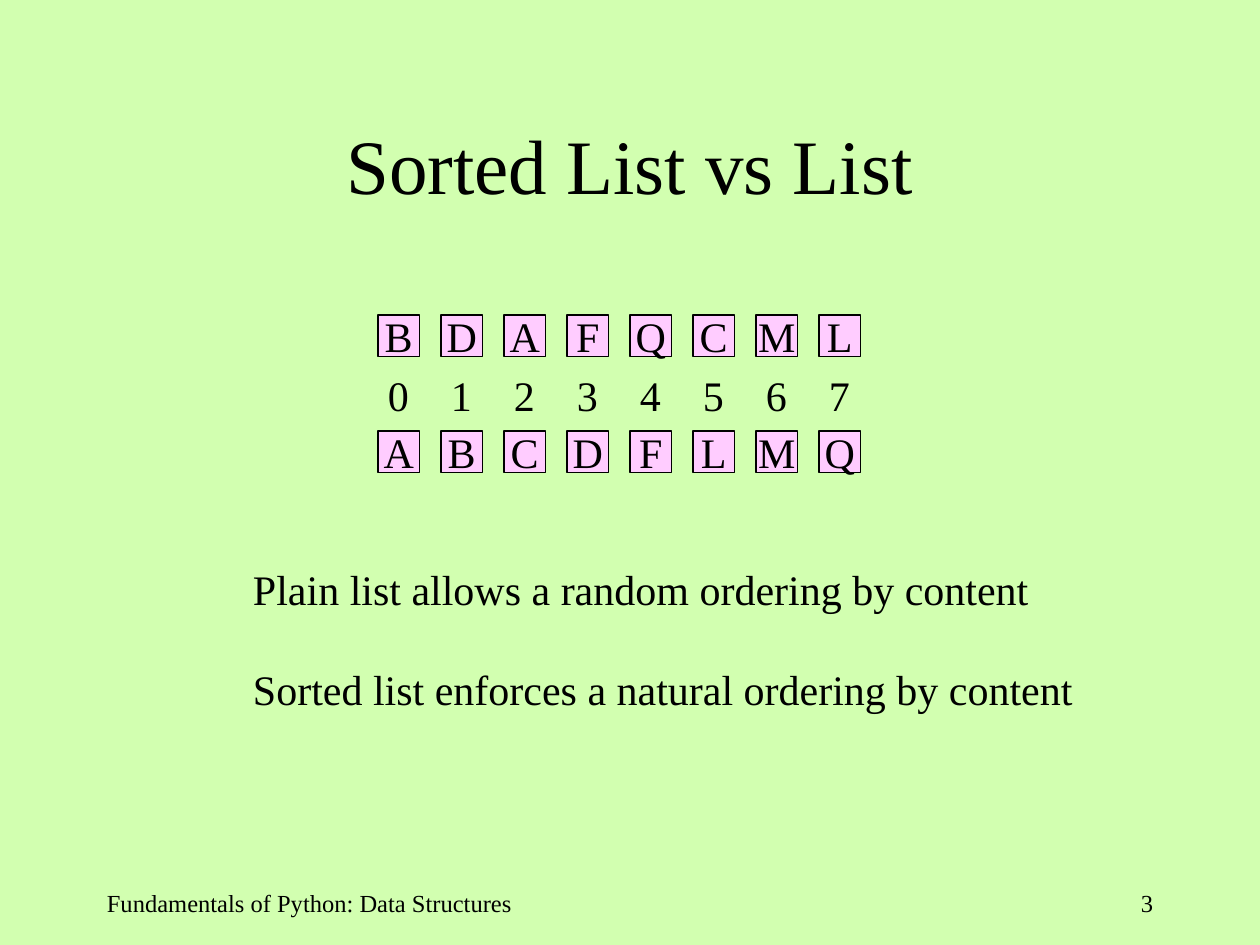
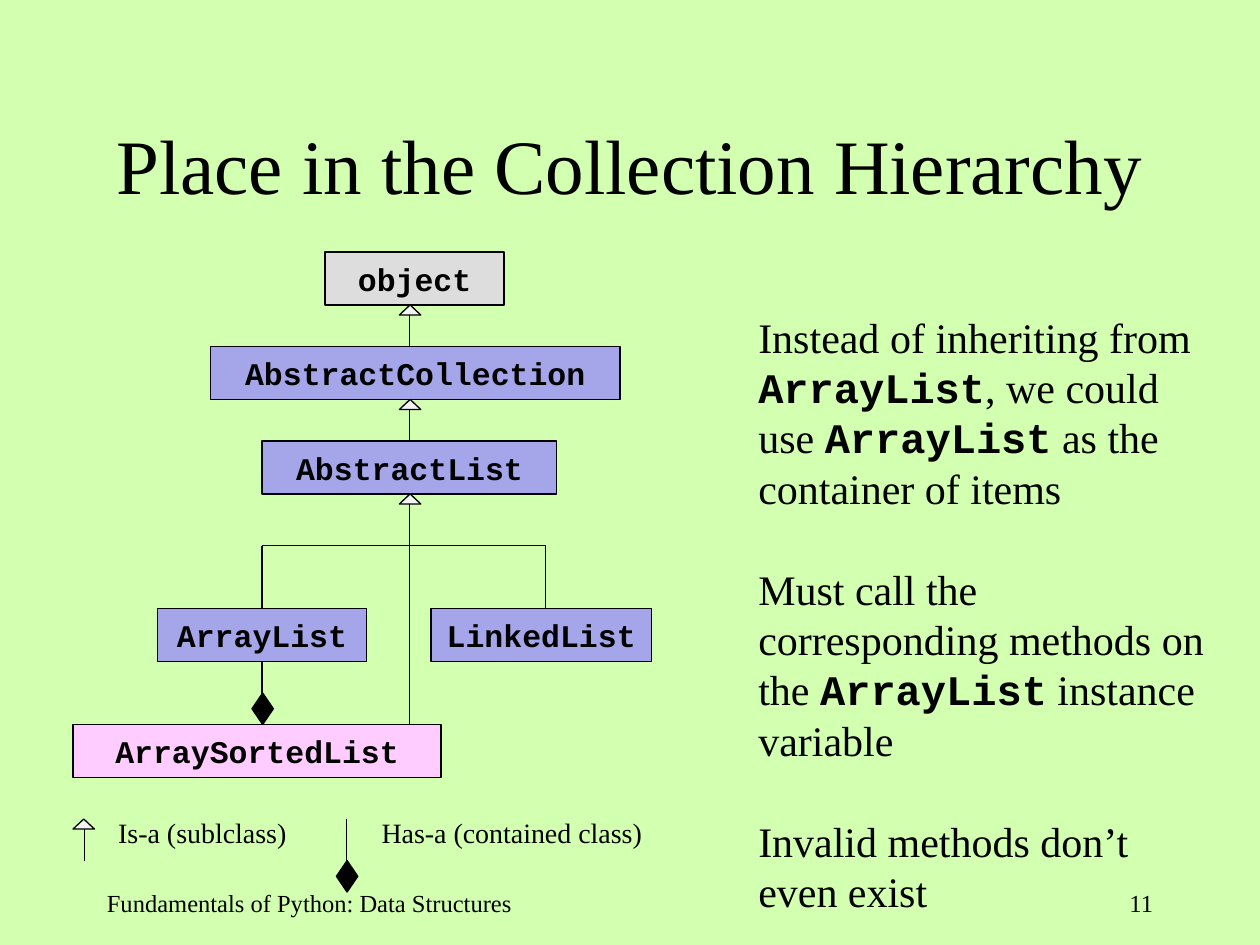
from dataclasses import dataclass
from typing import Optional

from lxml import etree
from pptx import Presentation
from pptx import util as u
from pptx.dml.color import RGBColor
from pptx.enum import shapes, text
from pptx.oxml import ns

GREEN = RGBColor(0xD2, 0xFF, 0xB0)
PINK = RGBColor(0xFF, 0xCC, 0xFF)
LILAC = RGBColor(0xA5, 0xA5, 0xE9)
GREY = RGBColor(0xDD, 0xDD, 0xDD)
PALE = RGBColor(0xF4, 0xF4, 0xF4)
BLACK = RGBColor(0, 0, 0)

SERIF = "Times New Roman"
MONO = "Courier New"
LEADING = 1.2
BODY_SIZE = 24
LINE_WIDTH = u.Pt(0.75)
CLASS_HEIGHT = 0.42
CELL_SIZE, CELL_PITCH, CELLS_LEFT = 0.33, 0.5, 3
MARKER_WIDTH = 0.17

ALIGN = text.PP_ALIGN
SHAPE = shapes.MSO_SHAPE


@dataclass
class ClassBox:
    name: str
    left: float
    top: float
    width: float
    fill: RGBColor


@dataclass
class Link:
    """A straight line; each end may be joined to a named class box's side."""
    start: tuple[float, float]
    end: tuple[float, float]
    start_joint: Optional[tuple[str, int]] = None
    end_joint: Optional[tuple[str, int]] = None


@dataclass
class Note:
    content: str
    left: float
    top: float
    width: float
    height: float
    size: int = BODY_SIZE
    align: ALIGN = ALIGN.LEFT


CLASSES = [
    ClassBox("object", 2.58, 2, 1.42, GREY),
    ClassBox("AbstractCollection", 1.67, 2.75, 3.25, LILAC),
    ClassBox("AbstractList", 2.08, 3.5, 2.34, LILAC),
    ClassBox("ArrayList", 1.25, 4.83, 1.66, LILAC),
    ClassBox("LinkedList", 3.42, 4.83, 1.75, LILAC),
    ClassBox("ArraySortedList", 0.58, 5.75, 2.92, PINK),
]
LINKS = [
    Link((3.25, 2.42), (3.25, 2.75)),
    Link((3.25, 3.17), (3.25, 3.5), end_joint=("AbstractList", 0)),
    Link((3.25, 3.92), (3.25, 4.33), start_joint=("AbstractList", 2)),
    Link((3.25, 4.33), (3.25, 5.75)),
    Link((2.08, 4.33), (4.33, 4.33)),
    Link((2.08, 4.33), (2.08, 4.83), end_joint=("ArrayList", 0)),
    Link((4.33, 4.33), (4.33, 4.83)),
    Link((2.08, 5.25), (2.08, 5.75), start_joint=("ArrayList", 2)),
    Link((0.67, 6.5), (0.67, 6.83)),
    Link((2.75, 6.5), (2.75, 7)),
]
IS_A_TIPS = [(3.17, 2.42), (3.17, 3.17), (3.17, 3.92), (0.58, 6.5)]
HAS_A_TIPS = [(2, 5.5), (2.67, 6.83)]


def write_paragraph(para, content: str, size: float, font: str = SERIF,
                    bold: bool = False, align=ALIGN.LEFT) -> None:
    """Write one paragraph; parts between backticks are set as code."""
    para.alignment = align
    para.line_spacing = u.Pt(size * LEADING)
    for index, part in enumerate(content.split("`")):
        is_code = index % 2 == 1
        span = para.add_run()
        span.text = part
        span.font.name = MONO if is_code else font
        span.font.size = u.Pt(size)
        span.font.bold = bold or is_code
        span.font.color.rgb = BLACK


def add_note(page, note: Note):
    """Add a text box whose paragraphs stand one line apart."""
    box = page.shapes.add_textbox(u.Inches(note.left), u.Inches(note.top),
                                  u.Inches(note.width), u.Inches(note.height))
    frame = box.text_frame
    frame.word_wrap = True
    for index, content in enumerate(note.content.split("\n")):
        para = frame.add_paragraph() if index else frame.paragraphs[0]
        write_paragraph(para, content, note.size, align=note.align)
        if index:
            para.space_before = u.Pt(note.size * LEADING)
    return box


def add_outlined(page, kind, left: float, top: float, width: float,
                 height: float, fill: RGBColor):
    shape = page.shapes.add_shape(kind, u.Inches(left), u.Inches(top),
                                  u.Inches(width), u.Inches(height))
    shape.shadow.inherit = False
    shape.fill.solid()
    shape.fill.fore_color.rgb = fill
    shape.line.color.rgb = BLACK
    shape.line.width = LINE_WIDTH
    return shape


def label(shape, content: str, size: float, font: str = SERIF,
          bold: bool = False) -> None:
    frame = shape.text_frame
    frame.word_wrap = False
    frame.vertical_anchor = text.MSO_ANCHOR.MIDDLE
    write_paragraph(frame.paragraphs[0], content, size, font, bold, ALIGN.CENTER)


def add_link(page, link: Link, boxes: dict) -> None:
    line = page.shapes.add_connector(
        shapes.MSO_CONNECTOR.STRAIGHT,
        *(u.Inches(value) for value in link.start + link.end))
    line.line.color.rgb = BLACK
    line.line.width = LINE_WIDTH
    etree.SubElement(line._element.spPr, ns.qn("a:effectLst"))
    if link.start_joint:
        name, side = link.start_joint
        line.begin_connect(boxes[name], side)
    if link.end_joint:
        name, side = link.end_joint
        line.end_connect(boxes[name], side)


def add_cells(page, letters: str, top: float) -> None:
    for index, letter in enumerate(letters):
        cell = add_outlined(page, SHAPE.RECTANGLE, CELLS_LEFT + index * CELL_PITCH,
                            top, CELL_SIZE, CELL_SIZE, PINK)
        label(cell, letter, BODY_SIZE)


def add_positions(page, count: int) -> None:
    """Number the cells in one line, with a tab stop at each cell."""
    box = add_note(page, Note("\t".join(map(str, range(count))), 2.98, 2.88, 4, 0.5))
    properties = box.text_frame.paragraphs[0]._p.get_or_add_pPr()
    stops = etree.SubElement(properties, ns.qn("a:tabLst"))
    for index in range(1, count):
        etree.SubElement(stops, ns.qn("a:tab"),
                         pos=str(u.Inches(index * CELL_PITCH)), algn="l")


def add_page(deck, title: str, number: int):
    page = deck.slides.add_slide(deck.slide_layouts[5])
    heading = page.shapes.title
    heading.left, heading.top = u.Inches(0.75), u.Inches(0.67)
    heading.width, heading.height = u.Inches(8.5), u.Inches(1.25)
    heading.text_frame.vertical_anchor = text.MSO_ANCHOR.MIDDLE
    write_paragraph(heading.text_frame.paragraphs[0], title, 44, align=ALIGN.CENTER)
    add_note(page, Note("Fundamentals of Python: Data Structures",
                        0.75, 7, 4.17, 0.5, 14))
    add_note(page, Note(str(number), 7.17, 7, 2.08, 0.5, 14, ALIGN.RIGHT))
    return page


def build_comparison(deck) -> None:
    page = add_page(deck, "Sorted List vs List", 3)
    letters = "BDAFQCML"
    add_cells(page, letters, 2.5)
    add_cells(page, "".join(sorted(letters)), 3.42)
    add_positions(page, len(letters))
    add_note(page, Note("Plain list allows a random ordering by content\n"
                        "Sorted list enforces a natural ordering by content",
                        1.91, 4.42, 6.9, 1.3))


def build_hierarchy(deck) -> None:
    page = add_page(deck, "Place in the Collection Hierarchy", 11)
    boxes = {}
    for item in CLASSES:
        box = add_outlined(page, SHAPE.RECTANGLE, item.left, item.top,
                           item.width, CLASS_HEIGHT, item.fill)
        label(box, item.name, 18, MONO, True)
        boxes[item.name] = box
    for link in LINKS:
        add_link(page, link, boxes)
    for left, top in IS_A_TIPS:
        add_outlined(page, SHAPE.ISOSCELES_TRIANGLE, left, top, MARKER_WIDTH, 0.08, PALE)
    for left, top in HAS_A_TIPS:
        add_outlined(page, SHAPE.DIAMOND, left, top, MARKER_WIDTH, 0.25, BLACK)
    add_note(page, Note("Is-a (sublclass)", 0.84, 6.42, 1.7, 0.37, 16))
    add_note(page, Note("Has-a (contained class)", 2.93, 6.42, 2.4, 0.37, 16))
    add_note(page, Note(
        "Instead of inheriting from `ArrayList`, we could use `ArrayList` "
        "as the container of items\n"
        "Must call the corresponding methods on the `ArrayList` instance variable\n"
        "Invalid methods don’t even exist",
        5.92, 2.42, 3.83, 4.9))


def main() -> None:
    deck = Presentation()
    deck.slide_width, deck.slide_height = u.Inches(10), u.Inches(7.5)
    background = deck.slide_master.background.fill
    background.solid()
    background.fore_color.rgb = GREEN
    build_comparison(deck)
    build_hierarchy(deck)
    deck.save("out.pptx")


if __name__ == "__main__":
    main()
